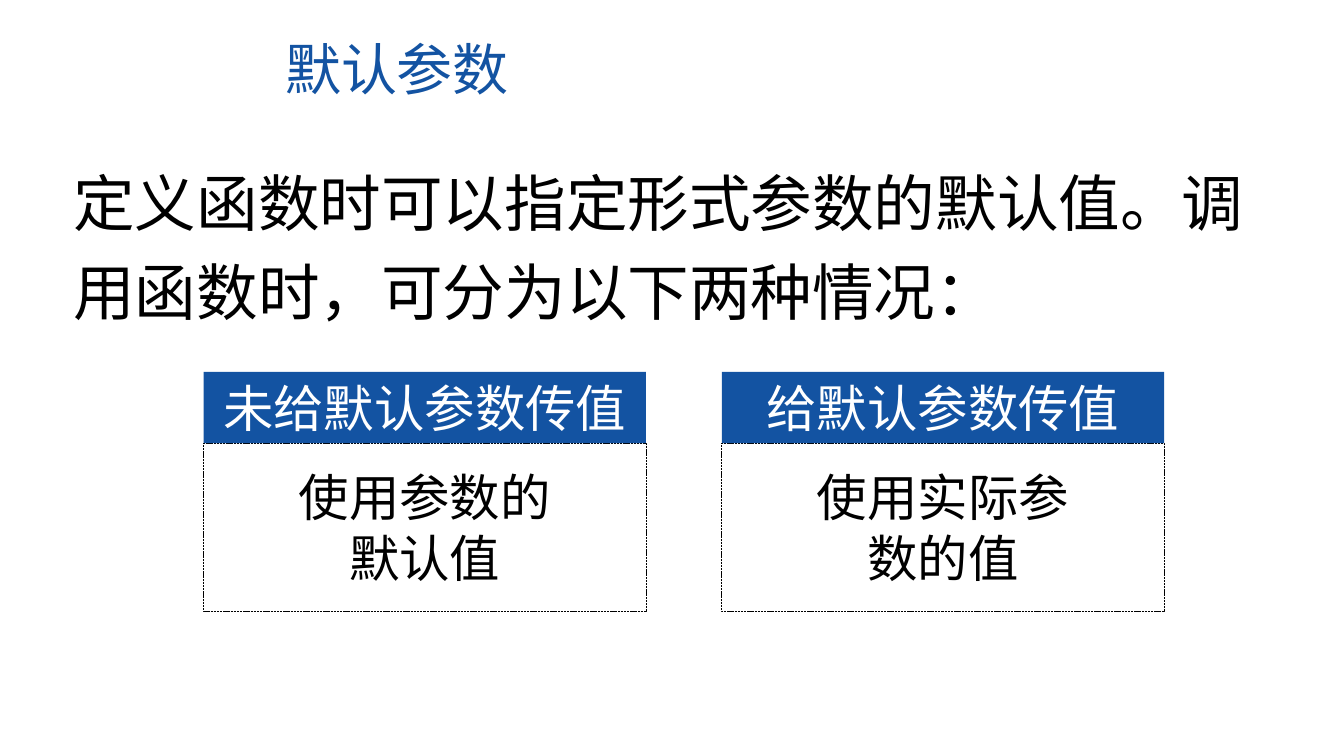
from dataclasses import dataclass

from lxml.etree import SubElement
from pptx import Presentation
from pptx.dml.color import RGBColor
from pptx.enum.dml import MSO_LINE
from pptx.enum.shapes import MSO_SHAPE
from pptx.enum.text import MSO_ANCHOR, MSO_AUTO_SIZE, PP_ALIGN
from pptx.oxml.ns import qn
from pptx.util import Cm, Pt


@dataclass(frozen=True)
class Theme:
    font: str = "Noto Sans CJK SC"
    blue: RGBColor = RGBColor(0x13, 0x53, 0xA2)
    black: RGBColor = RGBColor(0, 0, 0)
    white: RGBColor = RGBColor(255, 255, 255)
    title_size: Pt = Pt(40)
    intro_size: Pt = Pt(44)
    card_size: Pt = Pt(36)
    border: Pt = Pt(0.5)


@dataclass(frozen=True)
class Box:
    left: float
    top: float
    width: float
    height: float

    def lengths(self) -> tuple[Cm, Cm, Cm, Cm]:
        return Cm(self.left), Cm(self.top), Cm(self.width), Cm(self.height)


@dataclass(frozen=True)
class Card:
    heading: str
    detail: str


THEME = Theme()
TITLE_BOX = Box(6.93, 0.74, 14.94, 1.96)
INTRO_BOX = Box(1.6, 3.66, 31.22, 4.57)
CARD_LEFT, CARD_TOP, CARD_WIDTH, CARD_PITCH = 5.13, 9.37, 11.15, 13.06
HEADING_HEIGHT, FRAME_HEIGHT = 1.8, 4.24
DETAIL_WIDTH, DETAIL_HEIGHT = 7.85, 3.33
CARDS = [
    Card("未给默认参数传值", "使用参数的默认值"),
    Card("给默认参数传值", "使用实际参数的值"),
]


def write(sp, text: str, size: Pt, color: RGBColor,
          align=PP_ALIGN.LEFT, anchor=MSO_ANCHOR.TOP):
    tf = sp.text_frame
    tf.word_wrap = True
    tf.auto_size = MSO_AUTO_SIZE.NONE
    tf.vertical_anchor = anchor
    p = tf.paragraphs[0]
    p.text = text
    p.alignment = align
    p.font.size = size
    p.font.color.rgb = color
    p.font.name = THEME.font
    props = p._p.get_or_add_pPr().find(qn("a:defRPr"))
    SubElement(props, qn("a:ea")).set("typeface", THEME.font)
    return p


def add_rect(s, box: Box):
    sp = s.shapes.add_shape(MSO_SHAPE.RECTANGLE, *box.lengths())
    sp.shadow.inherit = False
    return sp


def add_card(s, card: Card, left: float) -> None:
    frame_top = CARD_TOP + HEADING_HEIGHT
    frame = add_rect(s, Box(left, frame_top, CARD_WIDTH, FRAME_HEIGHT))
    frame.fill.background()
    frame.line.color.rgb = THEME.black
    frame.line.width = THEME.border
    frame.line.dash_style = MSO_LINE.SQUARE_DOT

    detail_box = Box(left + (CARD_WIDTH - DETAIL_WIDTH) / 2,
                     frame_top + (FRAME_HEIGHT - DETAIL_HEIGHT) / 2,
                     DETAIL_WIDTH, DETAIL_HEIGHT)
    detail = s.shapes.add_textbox(*detail_box.lengths())
    write(detail, card.detail, THEME.card_size, THEME.black, PP_ALIGN.CENTER)

    heading = add_rect(s, Box(left, CARD_TOP, CARD_WIDTH, HEADING_HEIGHT))
    heading.fill.solid()
    heading.fill.fore_color.rgb = THEME.blue
    heading.line.fill.background()
    write(heading, card.heading, THEME.card_size, THEME.white,
          PP_ALIGN.CENTER, MSO_ANCHOR.MIDDLE)


prs = Presentation()
prs.slide_width, prs.slide_height = Cm(33.87), Cm(19.05)
s = prs.slides.add_slide(prs.slide_layouts[5])

title = s.shapes.title
title.left, title.top, title.width, title.height = TITLE_BOX.lengths()
write(title, "默认参数", THEME.title_size, THEME.blue)

intro = s.shapes.add_textbox(*INTRO_BOX.lengths())
p = write(intro, "定义函数时可以指定形式参数的默认值。调用函数时，可分为以下两种情况：",
          THEME.intro_size, THEME.black)
p.line_spacing = 1.2

for i, card in enumerate(CARDS):
    add_card(s, card, CARD_LEFT + i * CARD_PITCH)

prs.save("out.pptx")
